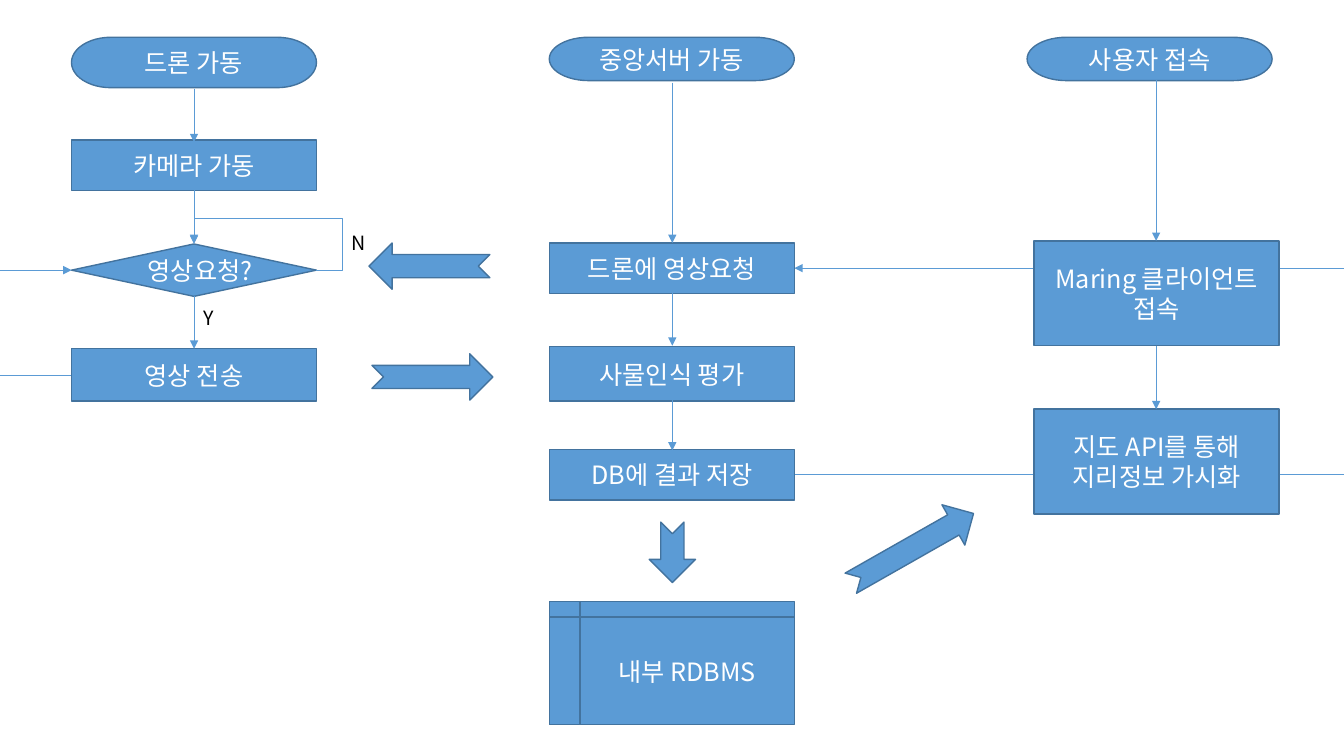
from pptx import Presentation
from pptx.dml.color import RGBColor
from pptx.enum.shapes import MSO_CONNECTOR as LINK, MSO_SHAPE as SHAPE
from pptx.enum.text import MSO_ANCHOR as ANCHOR, PP_ALIGN as ALIGN
from pptx.oxml.ns import qn
from pptx.util import Inches, Pt
from lxml.etree import SubElement

WIDTH, HEIGHT = 133.33, 75  # slide size in grid columns and rows
CELL = 0.1  # inches per column or row


def grid(*cells):
    return [Inches(cell * CELL) for cell in cells]


def color(value):
    return RGBColor.from_string(value)


def write(frame, text, size=18, ink="FFFFFF", align=ALIGN.CENTER,
          anchor=ANCHOR.MIDDLE, wrap=True, font="Noto Sans CJK KR"):
    frame.word_wrap = wrap
    frame.vertical_anchor = anchor
    for index, line in enumerate(text.split("\n")):
        paragraph = frame.add_paragraph() if index else frame.paragraphs[0]
        paragraph.alignment = align
        run = paragraph.add_run()
        run.text = line
        run.font.size = Pt(size)
        run.font.name = font
        run.font.color.rgb = color(ink)
        SubElement(run.font._element, qn("a:ea"), typeface=font)


class Flowchart:
    fill, outline, wire = "5B9BD5", "43739E", "5B9BD5"
    box_width = 24.3

    def __init__(self, slide):
        self.shapes = slide.shapes

    def node(self, kind, left, top, height, text="", width=box_width, turn=0):
        shape = self.shapes.add_shape(kind, *grid(left, top, width, height))
        shape.shadow.inherit = False
        shape.fill.solid()
        shape.fill.fore_color.rgb = color(self.fill)
        shape.line.color.rgb = color(self.outline)
        shape.line.width = Pt(1)
        shape.rotation = turn
        if text:
            write(shape.text_frame, text)

    def link(self, start, end, arrow=True, kind=LINK.STRAIGHT):
        connector = self.shapes.add_connector(kind, *grid(*start, *end))
        connector.line.color.rgb = color(self.wire)
        connector.line.width = Pt(0.5)
        if arrow:
            SubElement(connector.line._get_or_add_ln(), qn("a:tailEnd"), type="triangle")
        SubElement(connector._element.spPr, qn("a:effectLst"))
        return connector

    def loop(self, start, end, *bends):
        connector = self.link(start, end, kind=LINK.ELBOW)
        geometry = connector._element.spPr.find(qn("a:prstGeom"))
        geometry.set("prst", "bentConnector4")
        guides = geometry.find(qn("a:avLst"))
        for number, bend in enumerate(bends, 1):
            SubElement(guides, qn("a:gd"), name=f"adj{number}",
                       fmla=f"val {round(bend * 100000)}")

    def drops(self, center, *spans):
        for top, bottom in spans:
            self.link((center, top), (center, bottom))

    def label(self, text, left, top, width):
        box = self.shapes.add_textbox(*grid(left, top, width, 3.4))
        write(box.text_frame, text, size=14, ink="000000", align=ALIGN.LEFT,
              anchor=ANCHOR.TOP, wrap=False)


presentation = Presentation()
presentation.slide_width, presentation.slide_height = grid(WIDTH, HEIGHT)
chart = Flowchart(presentation.slides.add_slide(presentation.slide_layouts[6]))

# Lanes: left edges of the boxes and centres of the vertical arrows
DRONE, SERVER, USER = 7.1, 54.5, 102.6
drone_center, server_center, user_center = 19.25, 66.7, 114.7
drone_right, server_right = DRONE + chart.box_width, SERVER + chart.box_width

# Horizontal lines that run to the slide's edges
chart.link((DRONE, 37.2), (0, 37.2), arrow=False)
chart.link((0, 26.8), (DRONE, 26.8))
chart.link((server_right, 47.1), (WIDTH, 47.1), arrow=False)
chart.link((WIDTH, 26.6), (server_right, 26.6))

# Flow boxes
for kind, left, top, height, text in [
    (SHAPE.FLOWCHART_TERMINATOR, DRONE, 3.7, 5, "드론 가동"),
    (SHAPE.FLOWCHART_PROCESS, DRONE, 13.9, 5, "카메라 가동"),
    (SHAPE.FLOWCHART_DECISION, DRONE, 24.2, 5.2, "영상요청?"),
    (SHAPE.FLOWCHART_PROCESS, DRONE, 34.6, 5.2, "영상 전송"),
    (SHAPE.FLOWCHART_TERMINATOR, SERVER, 3.7, 4.3, "중앙서버 가동"),
    (SHAPE.FLOWCHART_PROCESS, SERVER, 24.1, 5, "드론에 영상요청"),
    (SHAPE.FLOWCHART_PROCESS, SERVER, 34.4, 5.4, "사물인식 평가"),
    (SHAPE.FLOWCHART_PROCESS, SERVER, 44.6, 5, "DB에 결과 저장"),
    (SHAPE.FLOWCHART_INTERNAL_STORAGE, SERVER, 59.7, 12.2, "내부 RDBMS"),
    (SHAPE.FLOWCHART_TERMINATOR, 101.9, 3.7, 4.3, "사용자 접속"),
    (SHAPE.FLOWCHART_PROCESS, USER, 23.9, 10.4, "Maring 클라이언트 접속"),
    (SHAPE.FLOWCHART_PROCESS, USER, 40.6, 10.4, "지도 API를 통해\n지리정보 가시화"),
]:
    chart.node(kind, left, top, height, text)

# Vertical arrows of each lane
chart.drops(drone_center, (8.8, 14.1), (18.9, 24.1), (29.4, 34.6))
chart.drops(server_center, (8.2, 24.1), (29, 34.3), (39.5, 44.7))
chart.drops(user_center, (7.9, 23.9), (34.3, 40.6))

# Waiting loop and branch labels
chart.loop((drone_right, 26.8), (drone_center, 24.2), -0.21, 1.96)
chart.label("Y", drone_center, 29.9, 3.1)
chart.label("N", 33.9, 22.4, 3.5)

# Block arrows for data passed between lanes
for left, top, width, turn in [
    (36.6, 24.1, 12, 180),
    (36.9, 35.1, 12, 0),
    (63.7, 52.5, 6, 90),
    (83.5, 52.1, 14, 330.4),
]:
    chart.node(SHAPE.NOTCHED_RIGHT_ARROW, left, top, 4.6, width=width, turn=turn)

presentation.save("out.pptx")
